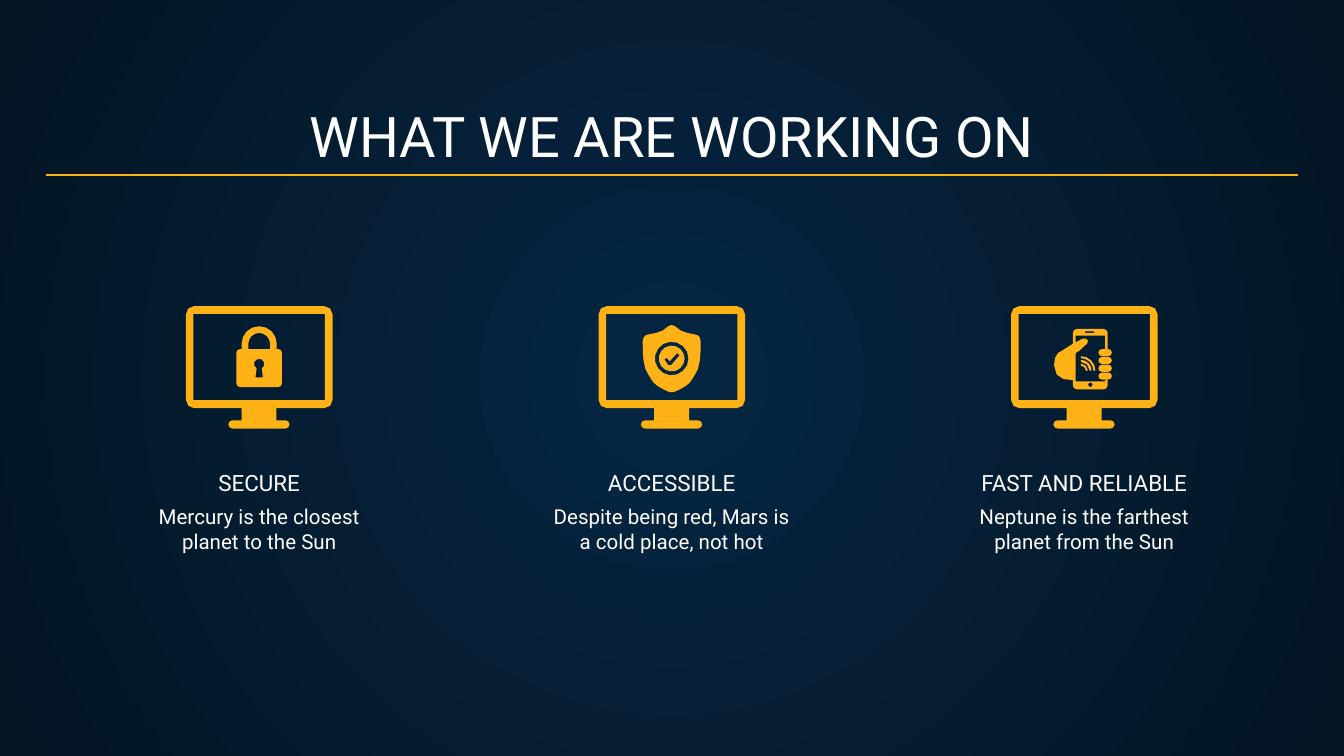
from math import ceil, cos, radians, sin

from lxml import etree
from pptx import Presentation
from pptx.dml.color import RGBColor
from pptx.enum.shapes import MSO_CONNECTOR as Link
from pptx.enum.text import MSO_ANCHOR as Anchor, MSO_AUTO_SIZE as Fit, PP_ALIGN as Align
from pptx.oxml import parse_xml
from pptx.oxml.ns import nsdecls, qn
from pptx.util import Pt

GOLD, WHITE = "FFB215", "FFFFFF"
FONT = "Roboto"


def color(code):
    return RGBColor.from_string(code)


def arc(cx, cy, r, start, end):
    """Points on an arc; angles in degrees, clockwise from the right."""
    steps = ceil(abs(end - start) / (24 if r > 5 else 45))
    turns = [radians(start + (end - start) * i / steps) for i in range(steps + 1)]
    return [(cx + r * cos(t), cy + r * sin(t)) for t in turns]


def disc(cx, cy, r):
    return arc(cx, cy, r, 0, 360)[:-1]


def curve(*ends, steps=3):
    """Points on a cubic curve with four control points."""
    points = []
    for i in range(steps + 1):
        t = i / steps
        parts = ((1 - t) ** 3, 3 * t * (1 - t) ** 2, 3 * t * t * (1 - t), t ** 3)
        points.append(tuple(sum(k * e[n] for k, e in zip(parts, ends)) for n in (0, 1)))
    return points


def panel(x, y, w, h, r=0.0):
    """Rectangle with rounded corners."""
    if not r:
        return [(x, y), (x + w, y), (x + w, y + h), (x, y + h)]
    return (arc(x + r, y + r, r, 180, 270) + arc(x + w - r, y + r, r, 270, 360)
            + arc(x + w - r, y + h - r, r, 0, 90) + arc(x + r, y + h - r, r, 90, 180))


def monitor():
    return [panel(0, 0, 78.5, 54.7, 4.4), panel(4, 4.2, 70.4, 46.2),
            panel(29.8, 54.7, 18.7, 6.5), panel(22.7, 61.2, 32.8, 4.4, 2.2)]


def lock():
    bow = (arc(39.2, 20.2, 9.4, 180, 360) + [(48.6, 23), (45, 23)]
           + arc(39.2, 20.2, 5.8, 360, 180) + [(33.4, 23), (29.8, 23)])
    key = arc(39.2, 31, 2.8, 120, 420) + [(41.2, 38.2), (37.2, 38.2)]
    return [[bow, panel(27, 23, 24.4, 20.4, 2), key]]


def shield():
    mid, hub = 39.2, 28.1
    side = ([(0, 10.1)]
            + curve((1.8, 10.8), (4.7, 13.7), (7.6, 14.4), (11.9, 15.1))
            + curve((11.9, 15.1), (14, 15.1), (15.5, 16.6), (15.5, 18.7))[1:]
            + curve((15.5, 20.2), (15.5, 23.8), (15.5, 29.5), (14, 33.8))
            + curve((14, 33.8), (12.6, 36.7), (11.2, 38.9), (9.7, 41))[1:]
            + curve((9.7, 41), (7.6, 43.2), (4.7, 44.6), (1.1, 46.1))[1:])
    edge = [(mid + x, y) for x, y in side] + [(mid - x, y) for x, y in side[:0:-1]]
    tick = [(35.3, 28.6), (36.4, 27.7), (38.2, 29.5), (42.1, 25.2),
            (43.5, 26.3), (38.9, 31.7), (37.4, 31.7)]
    return [[disc(mid, hub, 6.9), tick], [edge, disc(mid, hub, 9)]]


def phone():
    palm = (curve((33.1, 39.6), (28, 40), (23, 38), (23, 31.7))
            + curve((23, 31.7), (23, 26.6), (25.2, 24.5), (27.4, 23.8))[1:] + [(33.1, 20.2)])
    thumb = ([(34.6, 19.4)] + curve((38.2, 17.5), (40.3, 16.6), (42.2, 18.4), (40.8, 20))
             + [(36.7, 23.8), (34.6, 25.2)])
    case = (arc(35.3, 14.4, 2.2, 180, 270) + arc(49.6, 14.4, 2.2, 270, 360)
            + [(51.8, 23), (50.4, 23), (50.4, 15.8), (34.6, 15.8)] + thumb
            + [(34.6, 40.3), (50.4, 40.3), (50.4, 39.6), (51.8, 39.6)]
            + arc(49.6, 42.4, 2.2, 0, 90) + arc(35.3, 42.4, 2.2, 90, 180) + palm)
    holes = [panel(39.6, 13.6, 5, 0.8), disc(42.5, 42.1, 1.2)]
    tips = [arc(48.7, y, 1.9, 90, 270) + arc(52.1, y, 1.9, -90, 90)
            for y in (24.9, 29.1, 33.3, 37.5)]
    waves = [arc(37.4, 34.6, r, 270, 360) + arc(37.4, 34.6, r - 1.1, 360, 270)
             for r in (3.8, 5.8, 7.8)]
    return [[case, *holes, *tips, *waves]]


def draw(shapes, left, top, rings):
    """Fill closed outlines as one shape; an inner outline is a hole."""
    spots = [[(Pt(left + x), Pt(top + y)) for x, y in ring] for ring in rings]
    pen = shapes.build_freeform(*spots[0][0])
    for i, ring in enumerate(spots):
        if i:
            pen.move_to(*ring[0])
        pen.add_line_segments(ring[1:], close=True)
    shape = pen.convert_to_shape()
    shape.shadow.inherit = False
    shape.fill.solid()
    shape.fill.fore_color.rgb = color(GOLD)
    shape.line.fill.background()


def write(box, text, size, anchor):
    frame = box.text_frame
    frame.text = text
    frame.word_wrap = True
    frame.auto_size = Fit.NONE
    frame.vertical_anchor = anchor
    frame.margin_left = frame.margin_right = Pt(7.2)
    frame.margin_top = frame.margin_bottom = Pt(7.2)
    para = frame.paragraphs[0]
    para.alignment = Align.CENTER
    font = para.runs[0].font
    font.name, font.size = FONT, Pt(size)
    font.color.rgb = color(WHITE)


def backdrop(slide):
    fill = slide.background.fill
    fill.gradient()
    for stop, code in zip(fill.gradient_stops, ("052643", "041523")):
        stop.color.rgb = color(code)
    grad = slide.element.find(".//" + qn("a:gradFill"))
    grad.replace(grad.find(qn("a:lin")), parse_xml(
        f'<a:path {nsdecls("a")} path="circle">'
        '<a:fillToRect l="50000" t="50000" r="50000" b="50000"/></a:path>'))


def header(slide, left, top, width, height, text):
    title = slide.shapes.title
    title.left, title.top = Pt(left), Pt(top)
    title.width, title.height = Pt(width), Pt(height)
    write(title, text, 30, Anchor.BOTTOM)
    y = Pt(top + height - 4)
    rule = slide.shapes.add_connector(Link.STRAIGHT, Pt(left), y, Pt(left + width), y)
    rule.line.color.rgb = color(GOLD)
    rule.line.width = Pt(0.75)
    etree.SubElement(rule.element.spPr, qn("a:effectLst"))


def feature(slide, left, top, width, icon, name, text):
    """Icon in a monitor above a heading and a short text."""
    for rings in [monitor()] + icon():
        draw(slide.shapes, left + width / 2 - 39.25, top, rings)
    head = slide.shapes.add_textbox(Pt(left), Pt(top + 93.8), Pt(width), Pt(15))
    write(head, name, 12, Anchor.BOTTOM)
    body = slide.shapes.add_textbox(Pt(left + 7.2), Pt(top + 99), Pt(width - 14.4), Pt(39.6))
    write(body, text, 11, Anchor.TOP)


def main():
    deck = Presentation()
    deck.slide_width, deck.slide_height = Pt(720), Pt(405)
    slide = deck.slides.add_slide(deck.slide_layouts[5])
    backdrop(slide)
    header(slide, 24.5, 50.2, 671, 47.5, "WHAT WE ARE WORKING ON")
    items = [
        (lock, "SECURE", "Mercury is the closest planet to the Sun"),
        (shield, "ACCESSIBLE", "Despite being red, Mars is a cold place, not hot"),
        (phone, "FAST AND RELIABLE", "Neptune is the farthest planet from the Sun"),
    ]
    for i, item in enumerate(items):
        feature(slide, 57.2 + 221 * i, 164, 163.4, *item)
    deck.save("out.pptx")


if __name__ == "__main__":
    main()
